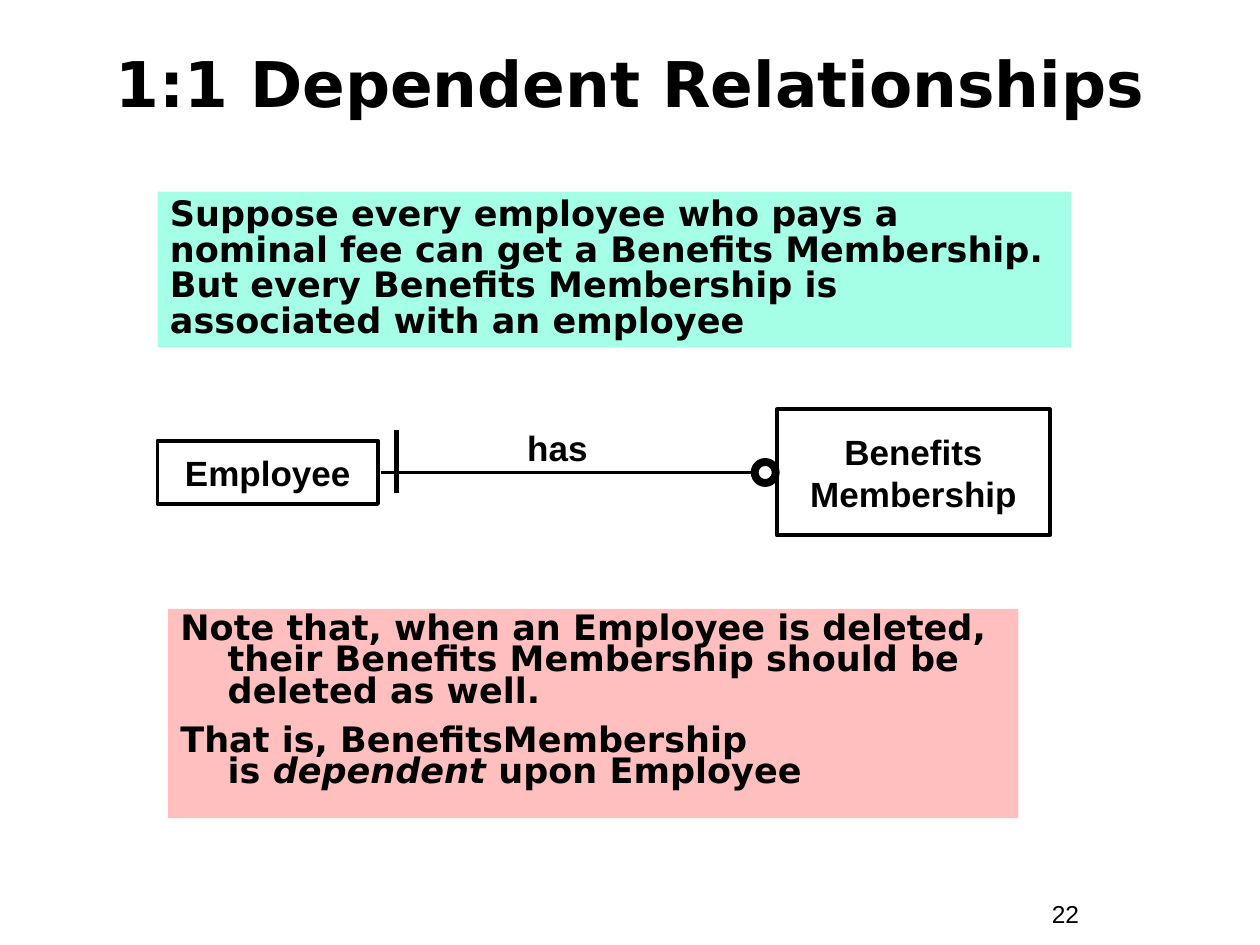
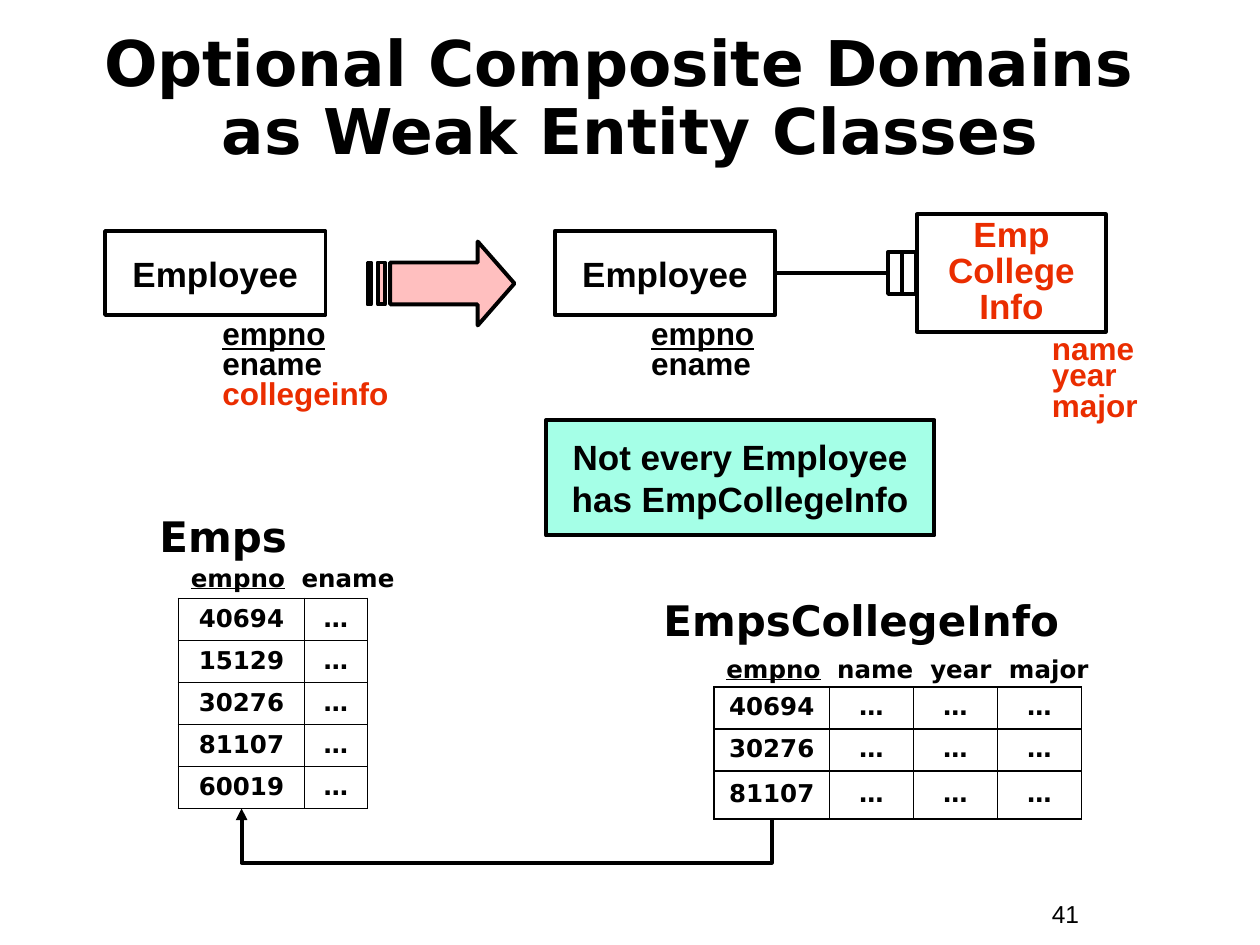
from copy import deepcopy

from lxml import etree
from pptx import Presentation
from pptx.dml.color import RGBColor
from pptx.enum import shapes, text
from pptx.oxml import ns
from pptx.util import Pt

BLACK = RGBColor(0x00, 0x00, 0x00)
RED = RGBColor(0xEA, 0x2D, 0x00)
PINK = RGBColor(0xFF, 0xBF, 0xBF)
MINT = RGBColor(0xA5, 0xFF, 0xE7)

# Shared type styles
TITLE = {"name": "DejaVu Sans", "size": Pt(36), "bold": True}
BODY = {**TITLE, "size": Pt(20)}
TABLE_NAME = {**TITLE, "size": Pt(24)}
CELL = {**TITLE, "size": Pt(14)}
ENTITY = {"name": "Arial", "size": Pt(20), "bold": True}
ATTRIBUTE = {**ENTITY, "size": Pt(18)}
NUMBER = {"name": "Arial", "size": Pt(14), "bold": False}

CENTER = {"alignment": text.PP_ALIGN.CENTER}
LEFT = {"alignment": text.PP_ALIGN.LEFT}
RECTANGLE = shapes.MSO_SHAPE.RECTANGLE
MIDDLE = text.MSO_ANCHOR.MIDDLE
TOP = text.MSO_ANCHOR.TOP


def write(frame, paragraphs, font, layout, color=BLACK, anchor=TOP, wrap=True):
    """Fill a frame; each paragraph is (runs, layout changes), each run (text, font changes)."""
    frame.word_wrap = wrap
    frame.auto_size = text.MSO_AUTO_SIZE.NONE
    frame.vertical_anchor = anchor
    for index, (runs, changes) in enumerate(paragraphs):
        paragraph = frame.add_paragraph() if index else frame.paragraphs[0]
        for name, value in {**layout, **changes}.items():
            setattr(paragraph, name, value)
        for words, run_changes in runs:
            for line_index, line in enumerate(words.split("\n")):
                if line_index:
                    paragraph.add_line_break()
                run = paragraph.add_run()
                run.text = line
                formats = {**font, **run_changes}
                run.font.color.rgb = formats.pop("color", color)
                for name, value in formats.items():
                    setattr(run.font, name, value)
        # Line breaks take the size of the text around them
        for line_break in paragraph._p.findall(ns.qn("a:br")):
            line_break.insert(0, deepcopy(paragraph.runs[0]._r.rPr))


def add_box(slide, kind, bounds, fill=None, line_width=2.25):
    """Add a preset shape with an optional fill and a black outline."""
    shape = slide.shapes.add_shape(kind, *map(Pt, bounds))
    shape.shadow.inherit = False
    if fill is None:
        shape.fill.background()
    else:
        shape.fill.solid()
        shape.fill.fore_color.rgb = fill
    if line_width:
        shape.line.color.rgb = BLACK
        shape.line.width = Pt(line_width)
    else:
        shape.line.fill.background()
    return shape


presentation = Presentation()
presentation.slide_width, presentation.slide_height = Pt(720), Pt(540)

# Titles and slide numbers
slides = []
for title, top, spacing, number in (
    ("1:1 Dependent Relationships", 18, 0.8, "22"),
    ("Optional Composite Domains \nas Weak Entity Classes", 24, 0.9, "41"),
):
    slide = presentation.slides.add_slide(presentation.slide_layouts[5])
    slides.append(slide)
    placeholder = slide.shapes.title
    bounds = {"left": 24, "top": top, "width": 672, "height": 66}
    for name, value in bounds.items():
        setattr(placeholder, name, Pt(value))
    write(placeholder.text_frame, [([(title, {})], {})], TITLE,
          {**CENTER, "line_spacing": spacing}, anchor=MIDDLE)
    number_box = slide.shapes.add_textbox(Pt(594), Pt(510), Pt(66), Pt(24))
    write(number_box.text_frame, [([(number, {})], {})], NUMBER, LEFT)
dependent_slide, composite_slide = slides

# Statement and note on the dependent relationship
statement = add_box(dependent_slide, RECTANGLE, (90, 109.5, 522, 89), MINT, 0)
write(statement.text_frame, [([(
    "Suppose every employee who pays a nominal fee can get a Benefits Membership. "
    "But every Benefits Membership is associated with an employee", {})], {})],
    BODY, {**LEFT, "line_spacing": 0.85})

note = add_box(dependent_slide, RECTANGLE, (96, 348, 486, 119.5), PINK, 0)
write(note.text_frame, [
    ([("Note that, when an Employee is deleted, their Benefits Membership "
       "should be deleted as well.", {})], {}),
    ([("That is, BenefitsMembership \nis ", {}), ("dependent", {"italic": True}),
      (" upon Employee", {})], {"space_before": Pt(10)}),
], BODY, {**LEFT, "line_spacing": 0.75})
for paragraph in note.text_frame.paragraphs:
    properties = paragraph._p.get_or_add_pPr()
    properties.set("marL", str(Pt(27)))
    properties.set("indent", str(Pt(-27)))

# Entities and the mint remark
for slide, words, bounds, fill, color, spacing in (
    (dependent_slide, "Employee", (90, 252, 126, 36), None, BLACK, 1.0),
    (dependent_slide, "Benefits\nMembership", (444, 234, 156, 72), None, BLACK, 1.0),
    (composite_slide, "Employee", (60, 132, 126, 48), None, BLACK, 1.0),
    (composite_slide, "Employee", (317, 132, 126, 48), None, BLACK, 1.0),
    (composite_slide, "Emp\nCollege\nInfo", (524, 122.5, 108, 67), None, RED, 0.85),
    (composite_slide, "Not every Employee has EmpCollegeInfo", (312, 240, 222, 66),
     MINT, BLACK, 1.0),
):
    entity = add_box(slide, RECTANGLE, bounds, fill)
    write(entity.text_frame, [([(words, {})], {})], ENTITY,
          {**CENTER, "line_spacing": spacing}, color, MIDDLE, wrap=fill is not None)

# Relationship name, optional end and weak entity bars
relationship = dependent_slide.shapes.add_textbox(Pt(294), Pt(240), Pt(49), Pt(31.5))
write(relationship.text_frame, [([("has", {})], {})], ENTITY, CENTER, wrap=False)
add_box(dependent_slide, shapes.MSO_SHAPE.OVAL, (431.25, 264, 12, 12), line_width=4.5)
for left in (507.5, 515.5):
    add_box(composite_slide, RECTANGLE, (left, 144, 8, 24))

# Attribute lists: words, line spacing, font changes
empno = ("empno", 0.9, {"underline": True})
ename = ("ename", 0.75, {})
for bounds, attributes in (
    ((120, 178.5, 120, 60.5), (empno, ename, ("collegeinfo", 0.8, {"color": RED}))),
    ((365, 178.5, 78, 43), (empno, ename)),
    ((594, 188, 78, 58), [(words, spacing, {"color": RED}) for words, spacing in
                          (("name", 0.85), ("year", 0.65), ("major", 0.85))]),
):
    box = composite_slide.shapes.add_textbox(*map(Pt, bounds))
    write(box.text_frame,
          [([(words, changes)], {"line_spacing": spacing})
           for words, spacing, changes in attributes], ATTRIBUTE, LEFT)

# Striped transformation arrow
arrow_outlines = [[(223, 150), (273, 150), (273, 138), (294, 162),
                   (273, 186), (273, 174), (223, 174)]]
for left, right in ((210, 212.5), (215.5, 220.5)):
    arrow_outlines.append([(left, 150), (right, 150), (right, 174), (left, 174)])
builder = composite_slide.shapes.build_freeform(
    *arrow_outlines[0][0], scale=float(Pt(1)))
for index, outline in enumerate(arrow_outlines):
    if index:
        builder.move_to(*outline[0])
    builder.add_line_segments(outline[1:], close=True)
arrow = builder.convert_to_shape()
arrow.shadow.inherit = False
arrow.fill.solid()
arrow.fill.fore_color.rgb = PINK
arrow.line.color.rgb = BLACK
arrow.line.width = Pt(2.25)

# Tables with their names and column headings
for name, name_bounds, headings, tabs, heading_top, left, top, widths, heights, keys in (
    ("Emps", (84, 288, 174, 36), "\tename", (63.25,), 318, 102, 342,
     (72, 36), (24,) * 5, ("40694", "15129", "30276", "81107", "60019")),
    ("EmpsCollegeInfo", (372, 336, 258, 36), "\tname\tyear\tmajor",
     (63.25, 116.5, 161.5), 370, 408, 392.5,
     (66, 48, 48, 48), (24, 24, 27.5), ("40694", "30276", "81107")),
):
    name_box = composite_slide.shapes.add_textbox(*map(Pt, name_bounds))
    write(name_box.text_frame, [([(name, {})], {})], TABLE_NAME, LEFT)

    heading_box = composite_slide.shapes.add_textbox(
        Pt(left), Pt(heading_top), Pt(250), Pt(24.5))
    write(heading_box.text_frame,
          [([("empno", {"underline": True}), (headings, {})], {})], CELL, LEFT)
    properties = heading_box.text_frame.paragraphs[0]._p.get_or_add_pPr()
    tab_list = etree.SubElement(properties, ns.qn("a:tabLst"))
    for position in tabs:
        etree.SubElement(tab_list, ns.qn("a:tab"), pos=str(Pt(position)), algn="l")

    table = composite_slide.shapes.add_table(
        len(keys), len(widths), Pt(left), Pt(top), Pt(sum(widths)), Pt(sum(heights))).table
    table.first_row = table.horz_banding = False
    for column, width in zip(table.columns, widths):
        column.width = Pt(width)
    for row, height, key in zip(table.rows, heights, keys):
        row.height = Pt(height)
        for index, cell in enumerate(row.cells):
            write(cell.text_frame, [([("…" if index else key, {})], {})], CELL,
                  {**CENTER, "line_spacing": 0.9})
            cell.vertical_anchor = MIDDLE
            properties = cell._tc.get_or_add_tcPr()
            for side in ("a:lnL", "a:lnR", "a:lnT", "a:lnB"):
                border = etree.SubElement(properties, ns.qn(side), w=str(Pt(1.08)))
                fill = etree.SubElement(border, ns.qn("a:solidFill"))
                etree.SubElement(fill, ns.qn("a:srgbClr"), val=str(BLACK))
            cell.fill.background()

# Relationship lines, and the key reference drawn as a turned elbow
STRAIGHT, ELBOW = shapes.MSO_CONNECTOR.STRAIGHT, shapes.MSO_CONNECTOR.ELBOW
for slide, kind, ends, width in (
    (dependent_slide, STRAIGHT, (217.5, 270, 429, 270), 2.25),
    (dependent_slide, STRAIGHT, (226.5, 282, 226.5, 246), 3),
    (composite_slide, STRAIGHT, (444, 156, 507, 156), 2.25),
    (composite_slide, ELBOW, (286.5, 313.5, 292.5, 616.5), 2.25),
):
    connector = slide.shapes.add_connector(kind, *map(Pt, ends))
    connector.line.color.rgb = BLACK
    connector.line.width = Pt(width)
    properties = connector._element.spPr
    etree.SubElement(properties, ns.qn("a:effectLst"))
    if kind == ELBOW:
        frame = properties.find(ns.qn("a:xfrm"))
        frame.set("rot", str(270 * 60000))
        frame.set("flipH", "1")
        guides = properties.find(ns.qn("a:prstGeom")).get_or_add_avLst()
        etree.SubElement(guides, ns.qn("a:gd"), name="adj1", fmla="val 517000")
        etree.SubElement(properties.find(ns.qn("a:ln")), ns.qn("a:headEnd"), type="triangle")

presentation.save("out.pptx")
